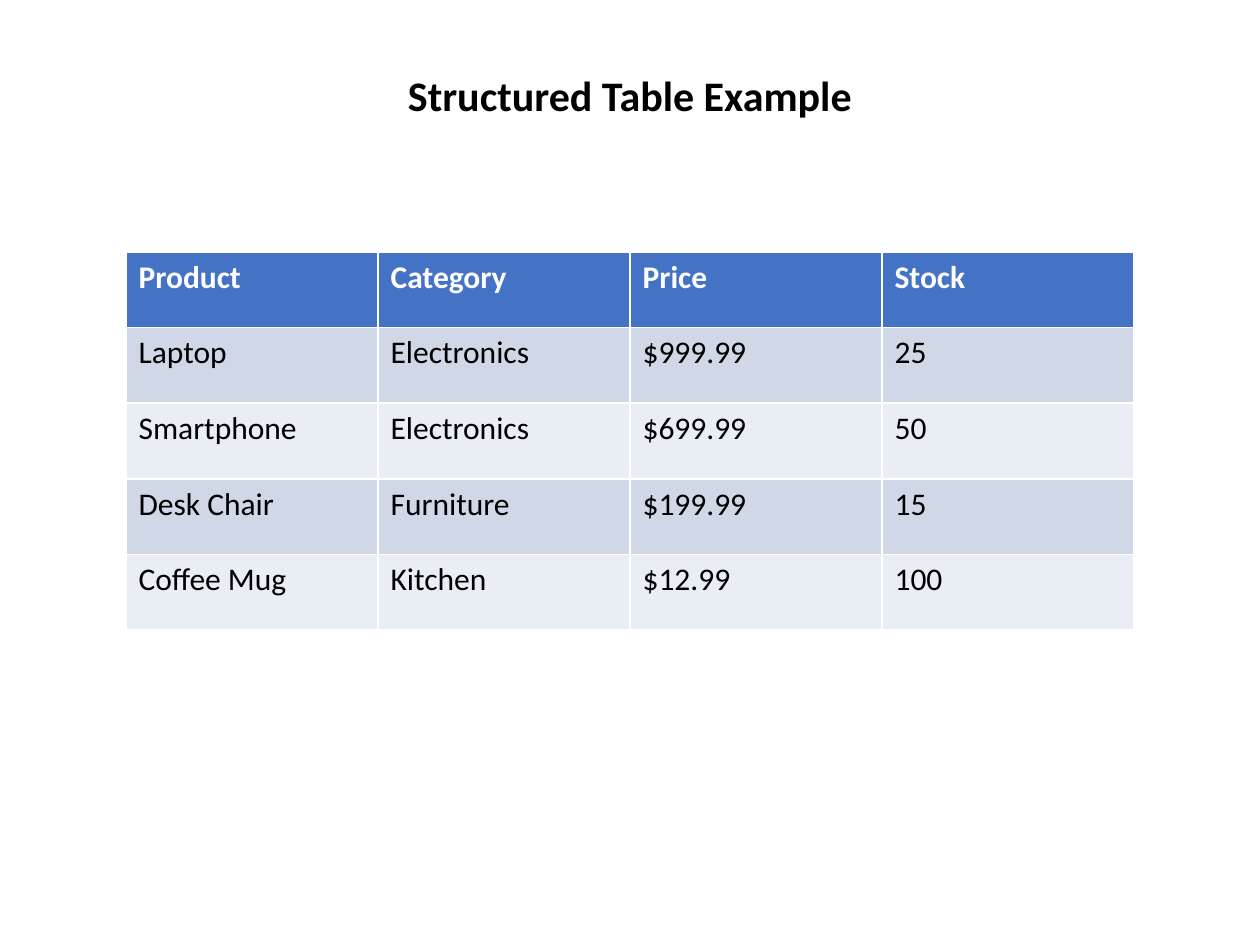
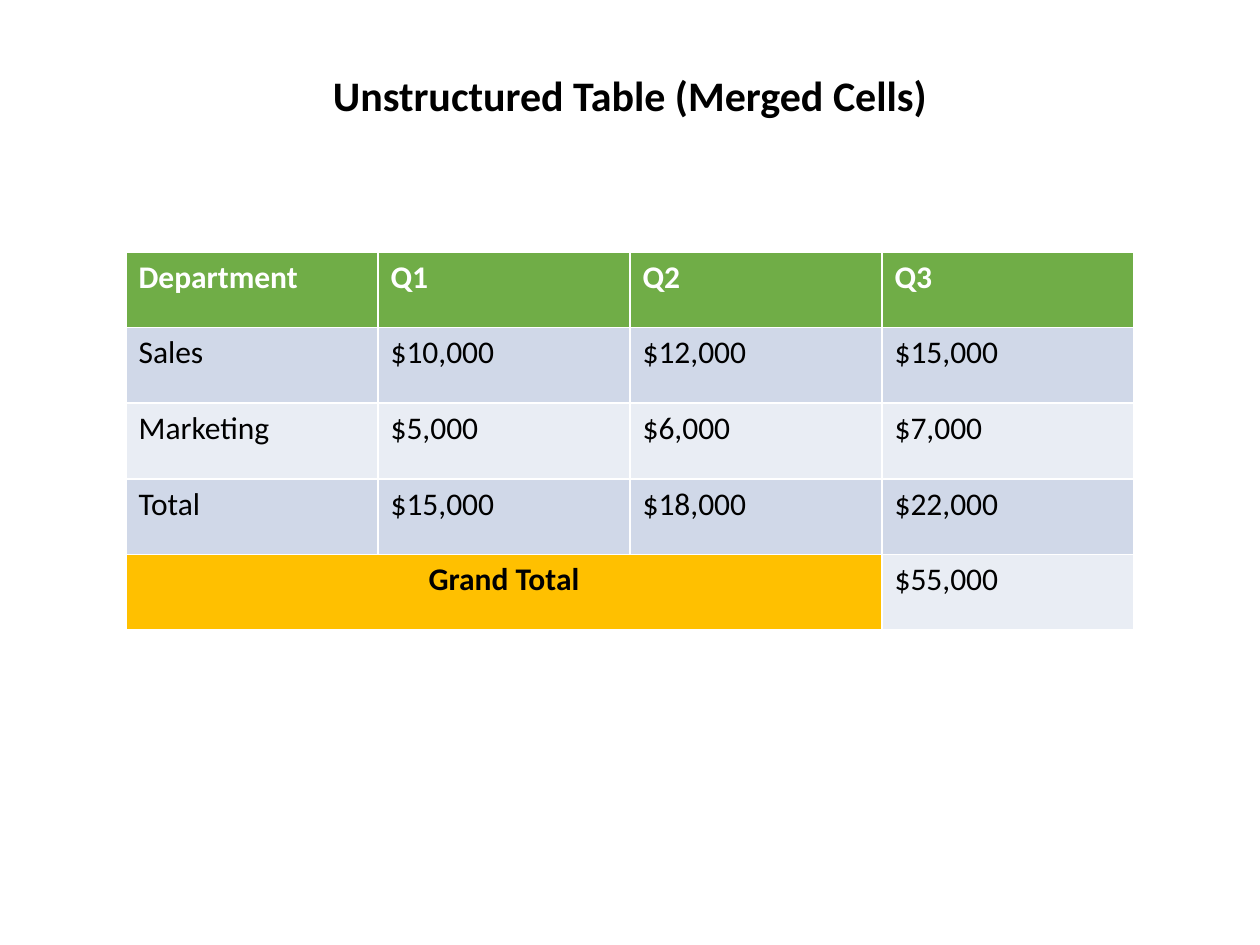
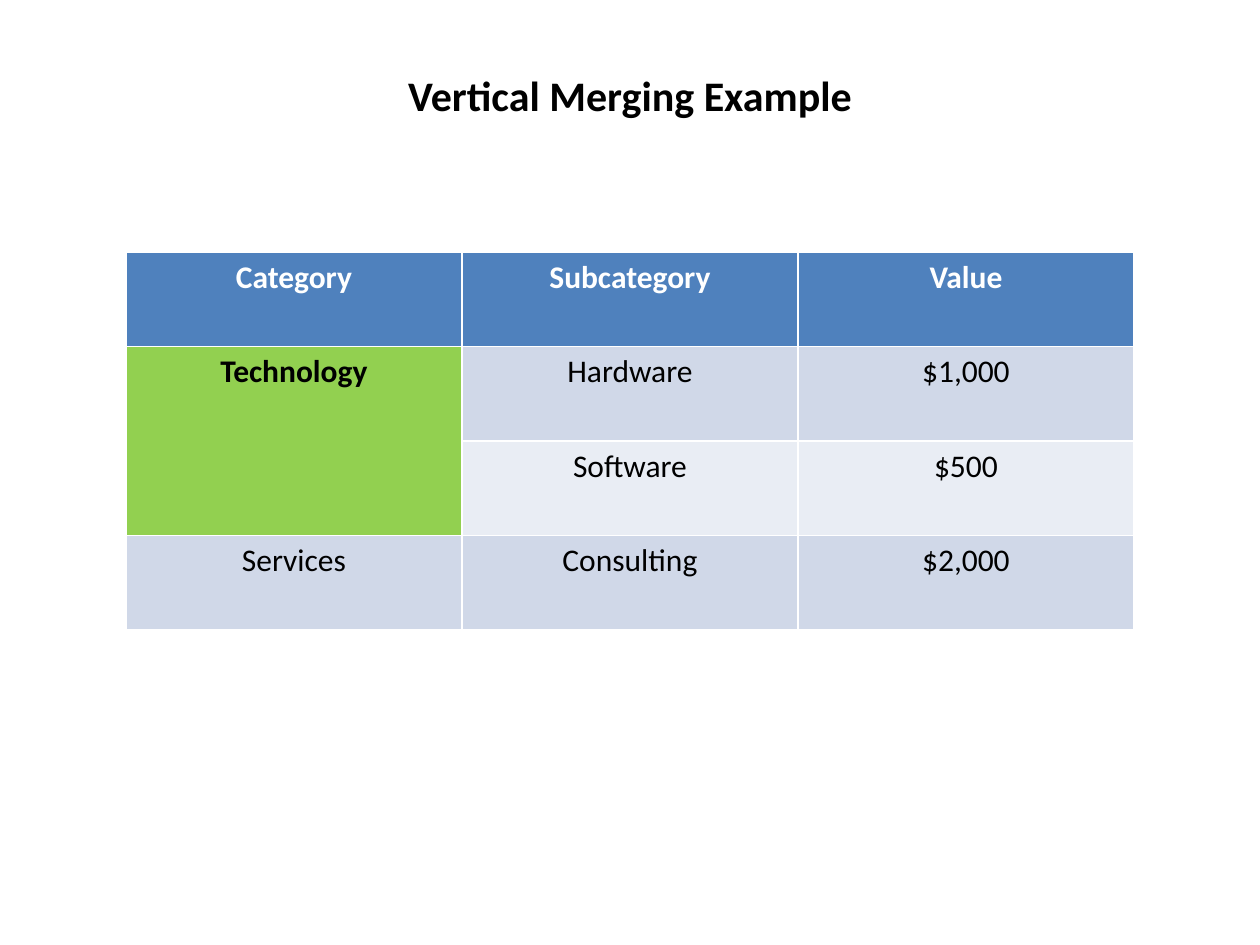
from pptx import Presentation
from pptx.dml.color import RGBColor
from pptx.enum.text import MSO_ANCHOR, PP_ALIGN
from pptx.util import Inches, Pt

LEFT, CENTER = PP_ALIGN.LEFT, PP_ALIGN.CENTER
MIDDLE = MSO_ANCHOR.MIDDLE

SLIDE_W, SLIDE_H = 10, 7.5
TITLE_ONLY = 5
FONT = "Calibri"
TITLE_TOP, TITLE_H = 0.5, 0.5
TABLE_BOX = (1, 2, 8, 3)

COLORS = {
    "black": "000000",
    "white": "FFFFFF",
    "blue": "4472C4",
    "green": "70AD47",
    "steel": "4F81BD",
    "gold": "FFC000",
    "lime": "92D050",
    "odd_row": "D0D8E8",
    "even_row": "E9EDF4",
}

# Each merge is (first cell, last cell, fill), with cells as (row, column).
SLIDES = [
    {
        "title": "Structured Table Example",
        "title_w": 3.76,
        "header": "blue",
        "rows": [
            ["Product", "Category", "Price", "Stock"],
            ["Laptop", "Electronics", "$999.99", "25"],
            ["Smartphone", "Electronics", "$699.99", "50"],
            ["Desk Chair", "Furniture", "$199.99", "15"],
            ["Coffee Mug", "Kitchen", "$12.99", "100"],
        ],
    },
    {
        "title": "Unstructured Table (Merged Cells)",
        "title_w": 4.95,
        "header": "green",
        "rows": [
            ["Department", "Q1", "Q2", "Q3"],
            ["Sales", "$10,000", "$12,000", "$15,000"],
            ["Marketing", "$5,000", "$6,000", "$7,000"],
            ["Total", "$15,000", "$18,000", "$22,000"],
            ["Grand Total", None, None, "$55,000"],
        ],
        "merges": [((4, 0), (4, 2), "gold")],
    },
    {
        "title": "Vertical Merging Example",
        "title_w": 3.75,
        "header": "steel",
        "align": CENTER,
        "rows": [
            ["Category", "Subcategory", "Value"],
            ["Technology", "Hardware", "$1,000"],
            [None, "Software", "$500"],
            ["Services", "Consulting", "$2,000"],
        ],
        "merges": [((1, 0), (2, 0), "lime")],
    },
]


def rgb(name):
    return RGBColor.from_string(COLORS[name])


def write(tf, text, size=18, color="black", bold=False, align=LEFT):
    p = tf.paragraphs[0]
    p.alignment = align
    r = p.add_run()
    r.text = text
    r.font.name = FONT
    r.font.size = Pt(size)
    r.font.bold = bold
    r.font.color.rgb = rgb(color)


def fill_cell(cell, color):
    cell.fill.solid()
    cell.fill.fore_color.rgb = rgb(color)


def add_title(s, text, width):
    sp = s.shapes.title
    sp.left, sp.top = Inches((SLIDE_W - width) / 2), Inches(TITLE_TOP)
    sp.width, sp.height = Inches(width), Inches(TITLE_H)
    tf = sp.text_frame
    tf.word_wrap = False
    tf.vertical_anchor = MIDDLE
    write(tf, text, size=24, bold=True, align=CENTER)


def add_data_table(s, box, rows, header, align=LEFT, merges=()):
    """Fill the box with equal columns and rows; None marks a merged-away cell."""
    x, y, w, h = map(Inches, box)
    table = s.shapes.add_table(len(rows), len(rows[0]), x, y, w, h).table
    merged = {first: (last, fill) for first, last, fill in merges}
    for i, row in enumerate(rows):
        band = header if i == 0 else "odd_row" if i % 2 else "even_row"
        for j, text in enumerate(row):
            cell = table.cell(i, j)
            fill_cell(cell, band)
            if text is None:
                continue
            style = {"color": "white" if i == 0 else "black",
                     "bold": i == 0, "align": align}
            if (i, j) in merged:
                last, fill = merged[i, j]
                cell.merge(table.cell(*last))
                fill_cell(cell, fill)
                style.update(bold=True, align=CENTER)
            write(cell.text_frame, text, **style)


def add_table_slide(prs, title, title_w, **table):
    s = prs.slides.add_slide(prs.slide_layouts[TITLE_ONLY])
    add_title(s, title, title_w)
    add_data_table(s, TABLE_BOX, **table)


def main():
    prs = Presentation()
    prs.slide_width, prs.slide_height = Inches(SLIDE_W), Inches(SLIDE_H)
    for content in SLIDES:
        add_table_slide(prs, **content)
    prs.save("out.pptx")


if __name__ == "__main__":
    main()
